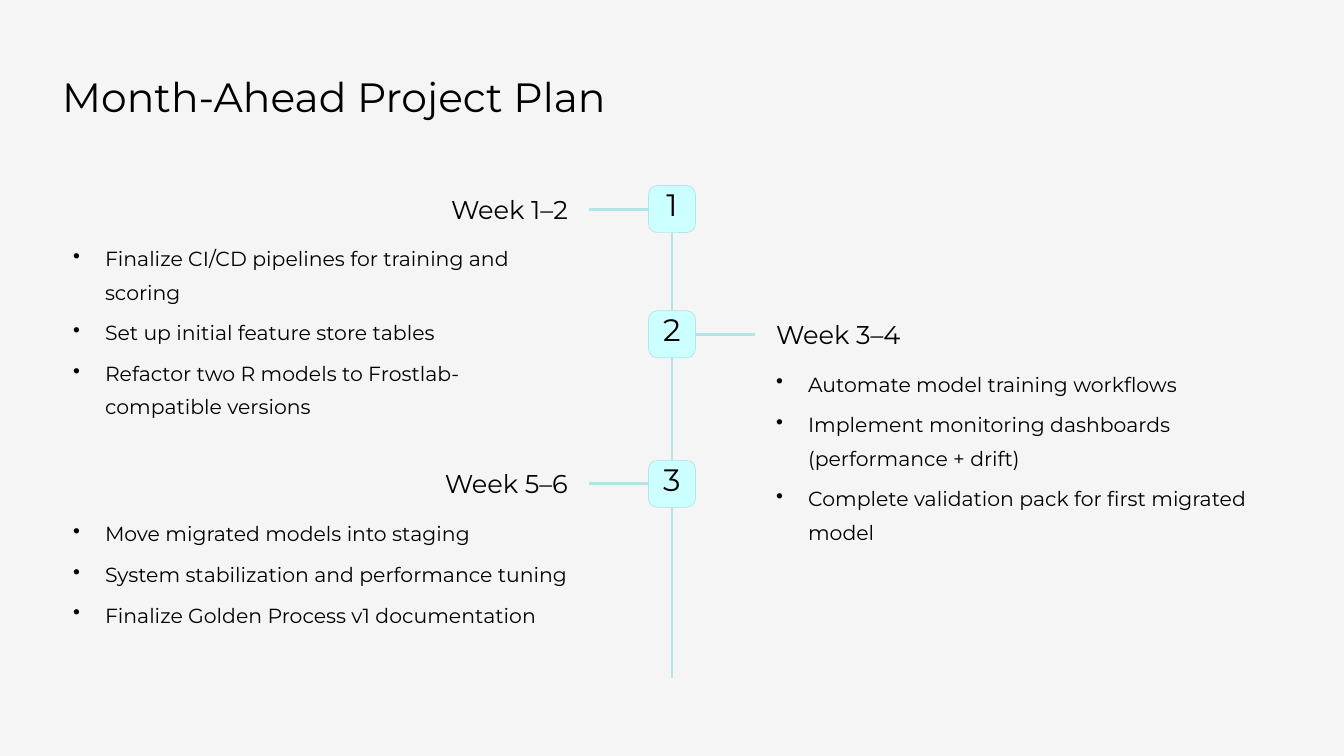
from dataclasses import dataclass

from lxml import etree
from pptx import Presentation
from pptx import util as u
from pptx.dml.color import RGBColor
from pptx.enum import shapes, text
from pptx.oxml.ns import qn


@dataclass(frozen=True)
class Theme:
    font: str = "Montserrat"
    ink: str = "000000"
    paper: str = "F5F5F5"
    rail: str = "B2E5E5"
    badge: str = "CCFFFF"
    # (type size, line spacing) in points
    title: tuple = (35, 55.5)
    heading: tuple = (22, 27.5)
    body: tuple = (17.5, 28.5)
    number: tuple = (26.5, 26.5)
    item_gap: float = 6.5
    rail_width: float = 2.4
    badge_line: float = 0.6


class TimelinePage:
    """Places elements on a grid of 16 columns by 9 rows."""

    COLUMNS, ROWS = 16, 9

    def __init__(self, deck, theme):
        self.theme = theme
        self.column = deck.slide_width / self.COLUMNS
        self.row = deck.slide_height / self.ROWS
        self.page = deck.slides.add_slide(deck.slide_layouts[6])
        fill = self.page.background.fill
        fill.solid()
        fill.fore_color.rgb = RGBColor.from_string(theme.paper)

    def x(self, columns):
        return u.Emu(round(columns * self.column))

    def y(self, rows):
        return u.Emu(round(rows * self.row))

    def area(self, left, top, width, height):
        return self.x(left), self.y(top), self.x(width), self.y(height)

    def add_words(self, para, words, style, align=text.PP_ALIGN.LEFT):
        size, spacing = style
        para.alignment = align
        para.line_spacing = u.Pt(spacing)
        span = para.add_run()
        span.text = words
        span.font.name = self.theme.font
        span.font.size = u.Pt(size)
        span.font.color.rgb = RGBColor.from_string(self.theme.ink)

    def frame(self, box, top_inset=0):
        frame = box.text_frame
        frame.word_wrap = True
        frame.vertical_anchor = text.MSO_ANCHOR.TOP
        frame.margin_left = frame.margin_right = frame.margin_bottom = 0
        frame.margin_top = self.y(top_inset)
        return frame

    def label(self, area, words, style, align=text.PP_ALIGN.LEFT):
        box = self.page.shapes.add_textbox(*self.area(*area))
        self.add_words(self.frame(box).paragraphs[0], words, style, align)

    def bullets(self, area, items):
        frame = self.frame(self.page.shapes.add_textbox(*self.area(*area)))
        indent = self.x(0.38)
        for index, item in enumerate(items):
            para = frame.add_paragraph() if index else frame.paragraphs[0]
            props = para._p.get_or_add_pPr()
            props.set("marL", str(indent))
            props.set("indent", str(-indent))
            etree.SubElement(props, qn("a:buChar"), char="•")
            if index:
                para.space_before = u.Pt(self.theme.item_gap)
            self.add_words(para, item, self.theme.body)

    def rail(self, start, end):
        line = self.page.shapes.add_connector(
            shapes.MSO_CONNECTOR.STRAIGHT,
            self.x(start[0]), self.y(start[1]), self.x(end[0]), self.y(end[1]))
        line.line.color.rgb = RGBColor.from_string(self.theme.rail)
        line.line.width = u.Pt(self.theme.rail_width)
        etree.SubElement(line._element.spPr, qn("a:effectLst"))
        return line

    def badge(self, area, number):
        box = self.page.shapes.add_shape(
            shapes.MSO_SHAPE.ROUNDED_RECTANGLE, *self.area(*area))
        box.adjustments[0] = 0.19
        box.shadow.inherit = False
        box.fill.solid()
        box.fill.fore_color.rgb = RGBColor.from_string(self.theme.badge)
        box.line.color.rgb = RGBColor.from_string(self.theme.rail)
        box.line.width = u.Pt(self.theme.badge_line)
        self.add_words(self.frame(box, 0.04).paragraphs[0], str(number),
                       self.theme.number, text.PP_ALIGN.CENTER)
        return box


# Top row of the badge, side, heading, text lines in the list, list items
STAGES = [
    (2.21, "left", "Week 1–2", 5, [
        "Finalize CI/CD pipelines for training and scoring",
        "Set up initial feature store tables",
        "Refactor two R models to Frostlab-compatible versions"]),
    (3.70, "right", "Week 3–4", 5, [
        "Automate model training workflows",
        "Implement monitoring dashboards (performance + drift)",
        "Complete validation pack for first migrated model"]),
    (5.48, "left", "Week 5–6", 3, [
        "Move migrated models into staging",
        "System stabilization and performance tuning",
        "Finalize Golden Process v1 documentation"]),
]

# Per side: branch end, heading left, list left, alignment, badge site
SIDES = {
    "left": (7.01, 3.66, 0.87, text.PP_ALIGN.RIGHT, 1),
    "right": (8.99, 9.24, 9.24, text.PP_ALIGN.LEFT, 3),
}
CENTER, BADGE = 8, 0.56


def main():
    deck = Presentation()
    deck.slide_width, deck.slide_height = u.Inches(16), u.Inches(9)
    theme = Theme()
    plan = TimelinePage(deck, theme)

    # Title and vertical rail
    plan.label((0.74, 0.67, 8.35, 0.78), "Month-Ahead Project Plan", theme.title)
    plan.rail((CENTER, STAGES[0][0]), (CENTER, 8.07))

    # Stages alternate around the rail
    for number, (top, side, heading, lines, items) in enumerate(STAGES, 1):
        branch_end, heading_left, list_left, align, site = SIDES[side]
        middle = top + BADGE / 2
        badge = plan.badge((CENTER - BADGE / 2, top, BADGE, BADGE), number)
        branch = plan.rail((CENTER, middle), (branch_end, middle))
        branch.begin_connect(badge, site)
        plan.label((heading_left, top + 0.08, 3.1, 0.39), heading,
                   theme.heading, align)
        plan.bullets((list_left, top + 0.62, 5.92, 0.4 * lines + 0.18), items)

    deck.save("out.pptx")


if __name__ == "__main__":
    main()
